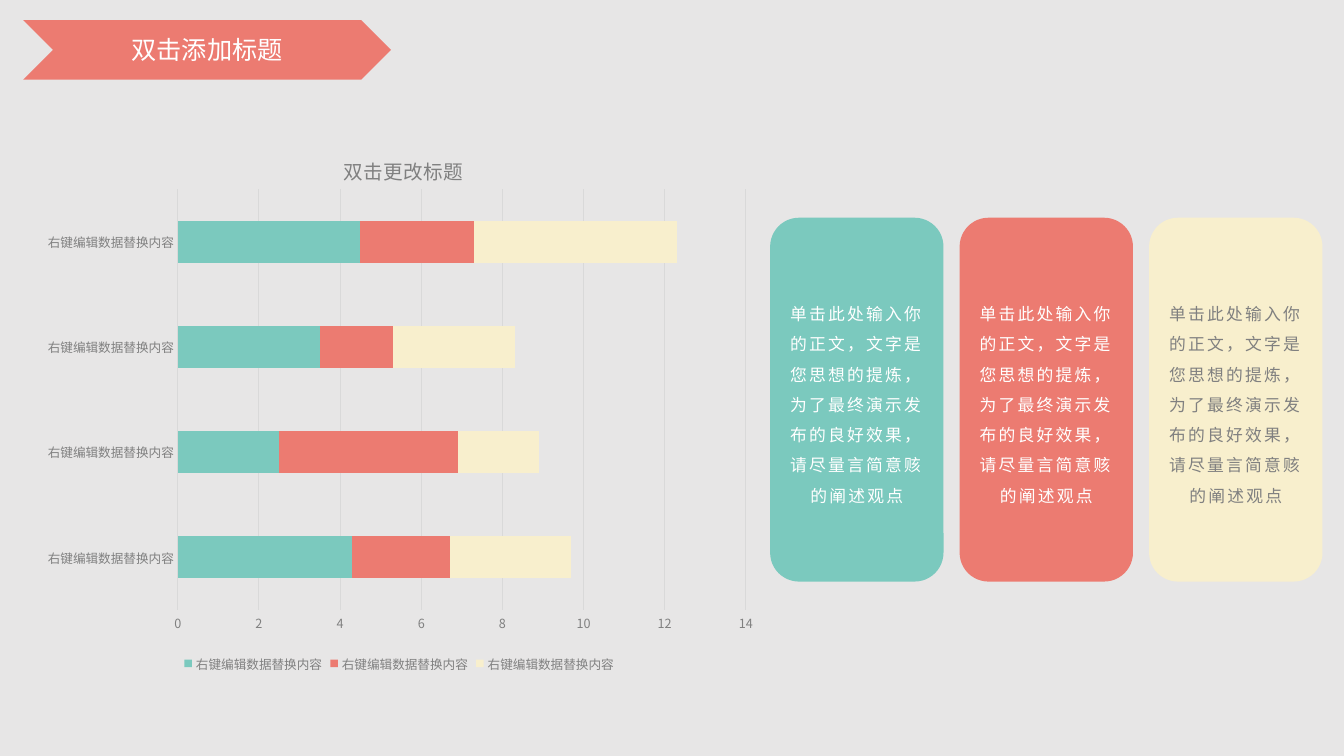
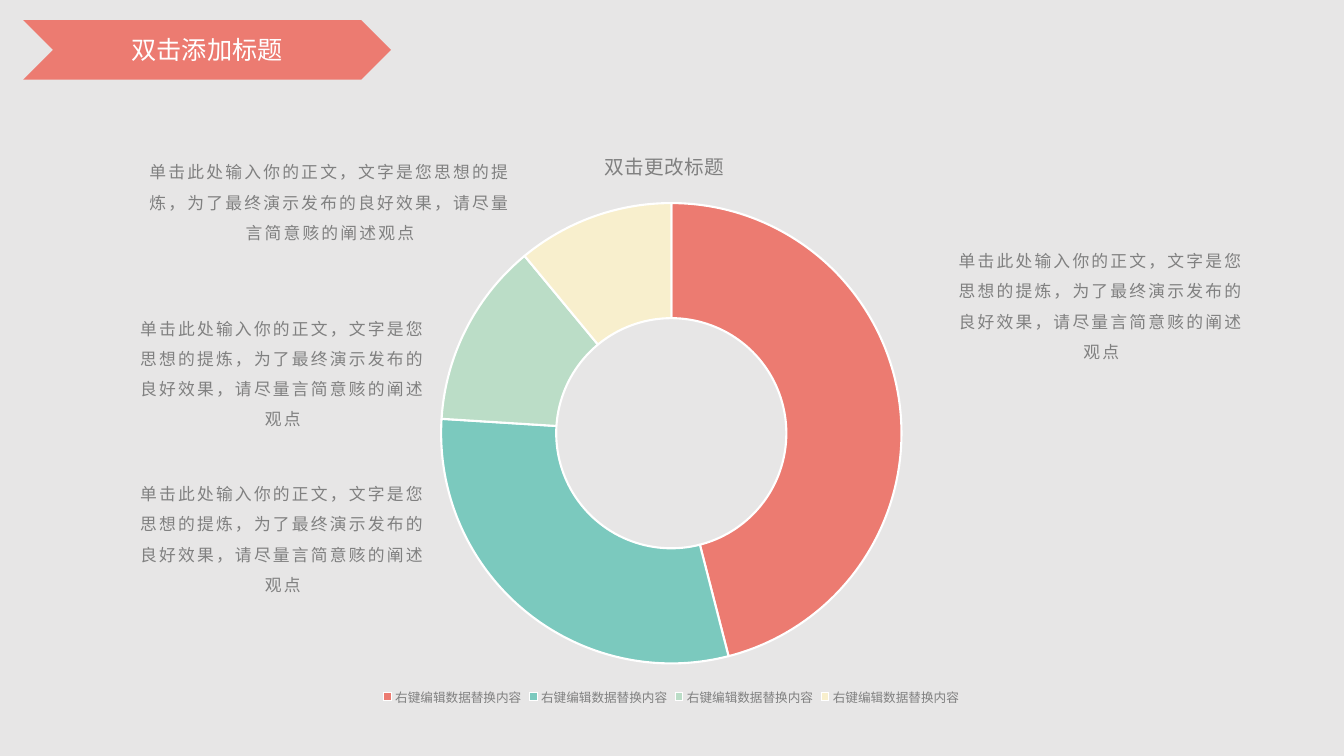
"""Build two slides with a chevron title band, charts and explanatory texts."""
from dataclasses import dataclass

from lxml import etree
from pptx import Presentation
from pptx.chart.chart import Chart
from pptx.chart.data import CategoryChartData
from pptx.dml.color import RGBColor
from pptx.dml.fill import FillFormat
from pptx.enum.chart import XL_CHART_TYPE, XL_LEGEND_POSITION, XL_TICK_MARK
from pptx.enum.shapes import MSO_SHAPE
from pptx.enum.text import MSO_ANCHOR, MSO_AUTO_SIZE, PP_ALIGN
from pptx.oxml.ns import qn
from pptx.slide import Slide
from pptx.text.text import Font, TextFrame
from pptx.util import Inches, Pt

CHEVRON, ROUNDED = MSO_SHAPE.CHEVRON, MSO_SHAPE.ROUNDED_RECTANGLE
CENTER, MIDDLE, TOP = PP_ALIGN.CENTER, MSO_ANCHOR.MIDDLE, MSO_ANCHOR.TOP
NO_FIT, GROW = MSO_AUTO_SIZE.NONE, MSO_AUTO_SIZE.SHAPE_TO_FIT_TEXT
STACKED, DOUGHNUT = XL_CHART_TYPE.BAR_STACKED, XL_CHART_TYPE.DOUGHNUT
BOTTOM, NO_TICK = XL_LEGEND_POSITION.BOTTOM, XL_TICK_MARK.NONE

COLUMNS, ROWS = 160, 90
CELL = Inches(1 / 12)
TYPEFACE = "Noto Sans CJK SC"
PAPER, WHITE, GRAY, RULE = "E7E6E6", "FFFFFF", "808080", "D9D9D9"
TEAL, CORAL, MINT, CREAM = "7BC9BE", "EC7B71", "BBDDC7", "F8EFCD"

SLIDE_TITLE = "双击添加标题"
CHART_TITLE = "双击更改标题"
LABEL = "右键编辑数据替换内容"
BODY = "单击此处输入你的正文，文字是您思想的提炼，为了最终演示发布的良好效果，请尽量言简意赅的阐述观点"


@dataclass(frozen=True)
class Area:
    """A rectangle in grid columns and rows."""

    column: float
    row: float
    columns: float
    rows: float

    def box(self) -> tuple[int, int, int, int]:
        """Return left, top, width and height in slide units."""
        return tuple(round(value * CELL) for value in
                     (self.column, self.row, self.columns, self.rows))


@dataclass(frozen=True)
class Card:
    """A rounded card with its fill and text colours."""

    fill: str
    ink: str


@dataclass(frozen=True)
class Series:
    """A named row of chart values."""

    name: str
    values: tuple[float, ...]


TITLE_BAND = Area(2.76, 2.4, 43.8, 7.08)
BAR_AREA = Area(3.6, 14.64, 87.84, 65.88)
RING_AREA = Area(38.28, 15.96, 83.28, 68.52)
FIRST_CARD = Area(91.68, 25.92, 20.64, 43.32)
CARD_PITCH = 22.56
CARDS = (Card(TEAL, WHITE), Card(CORAL, WHITE), Card(CREAM, GRAY))
NOTES = (
    Area(14.76, 55.8, 37.8, 15.36),
    Area(14.76, 36.12, 37.8, 15.36),
    Area(15.72, 17.52, 47.16, 11.76),
    Area(112.2, 28.08, 37.8, 15.36),
)
BAR_SERIES = (
    Series(LABEL, (4.3, 2.5, 3.5, 4.5)),
    Series(LABEL, (2.4, 4.4, 1.8, 2.8)),
    Series(LABEL, (3, 2, 3, 5)),
)
RING_SERIES = (Series("Series 1", (46, 30, 13, 11)),)
BAR_COLORS = (TEAL, CORAL, CREAM)
RING_COLORS = (CORAL, TEAL, MINT, CREAM)


def color(code: str) -> RGBColor:
    """Turn a hex string into a colour."""
    return RGBColor.from_string(code)


def paint(fill: FillFormat, code: str) -> None:
    """Apply a solid fill."""
    fill.solid()
    fill.fore_color.rgb = color(code)


def style_font(font: Font, size: float, code: str) -> None:
    """Set size, colour and both Latin and East Asian typefaces."""
    font.size, font.bold = Pt(size), False
    font.color.rgb = color(code)
    font.name = TYPEFACE
    etree.SubElement(font._element, qn("a:ea")).set("typeface", TYPEFACE)


def write(frame: TextFrame, text: str, size: float, code: str,
          spacing: float | None = None, tracking: int = 0) -> None:
    """Write one centred paragraph."""
    frame.word_wrap = True
    paragraph = frame.paragraphs[0]
    paragraph.alignment = CENTER
    paragraph.line_spacing = spacing
    run = paragraph.add_run()
    run.text = text
    style_font(run.font, size, code)
    if tracking:
        run.font._element.set("spc", str(tracking))


def write_body(frame: TextFrame, code: str) -> None:
    """Write the shared explanatory text."""
    write(frame, BODY, 12, code, 1.5, 160)


def add_filled_shape(slide: Slide, kind: MSO_SHAPE, area: Area, code: str):
    """Add a flat preset shape without outline."""
    shape = slide.shapes.add_shape(kind, *area.box())
    shape.shadow.inherit = False
    paint(shape.fill, code)
    shape.line.fill.background()
    return shape


def add_titled_slide(presentation: Presentation) -> Slide:
    """Add a slide whose title sits on the chevron band."""
    slide = presentation.slides.add_slide(presentation.slide_layouts[5])
    band = add_filled_shape(slide, CHEVRON, TITLE_BAND, CORAL)
    title = slide.shapes.title
    title._element.addprevious(band._element)
    title.left, title.top, title.width, title.height = TITLE_BAND.box()
    frame = title.text_frame
    frame.auto_size, frame.vertical_anchor = NO_FIT, MIDDLE
    write(frame, SLIDE_TITLE, 18, WHITE)
    return slide


def make_layout(**shares: float) -> etree._Element:
    """Make a manual chart layout from shares of the chart's size."""
    layout = etree.Element(qn("c:layout"))
    manual = etree.SubElement(layout, qn("c:manualLayout"))
    settings = {"xMode": "edge", "yMode": "edge"} | shares
    if "w" in shares:
        settings = {"layoutTarget": "inner"} | settings
    for name, value in settings.items():
        etree.SubElement(manual, qn(f"c:{name}")).set("val", str(value))
    return layout


def clear_layout(parent: etree._Element) -> None:
    """Remove an automatic layout element."""
    for layout in parent.findall(qn("c:layout")):
        parent.remove(layout)


def add_titled_chart(slide: Slide, kind: XL_CHART_TYPE, area: Area,
                     rows: tuple[Series, ...], title_at: dict[str, float],
                     plot_at: dict[str, float]) -> Chart:
    """Add a chart with the shared title, legend and fonts."""
    data = CategoryChartData(number_format="General")
    data.categories = [LABEL] * len(rows[0].values)
    for row in rows:
        data.add_series(row.name, row.values)
    chart = slide.shapes.add_chart(kind, *area.box(), data).chart
    style_font(chart.font, 10, GRAY)
    chart.has_title = True
    write(chart.chart_title.text_frame, CHART_TITLE, 14, GRAY)
    title = chart.chart_title._element
    clear_layout(title)
    title.find(qn("c:tx")).addnext(make_layout(**title_at))
    plot_area = chart._chartSpace.chart.plotArea
    clear_layout(plot_area)
    plot_area.insert(0, make_layout(**plot_at))
    chart.has_legend = True
    chart.legend.position = BOTTOM
    chart.legend.include_in_layout = False
    style_font(chart.legend.font, 9, GRAY)
    return chart


def add_bar_chart(slide: Slide) -> None:
    """Add the stacked bar chart."""
    chart = add_titled_chart(slide, STACKED, BAR_AREA, BAR_SERIES,
                             {"x": 0.42, "y": 0.05},
                             {"x": 0.2, "y": 0.12, "w": 0.77, "h": 0.76})
    plot = chart.plots[0]
    plot.gap_width, plot.overlap = 150, 100
    plot.vary_by_categories = False
    for series, code in zip(plot.series, BAR_COLORS):
        paint(series.format.fill, code)
    for axis in (chart.category_axis, chart.value_axis):
        axis.major_tick_mark = axis.minor_tick_mark = NO_TICK
        style_font(axis.tick_labels.font, 9, GRAY)
    chart.value_axis.has_major_gridlines = True
    chart.value_axis.format.line.fill.background()
    for line in (chart.category_axis.format.line,
                 chart.value_axis.major_gridlines.format.line):
        line.color.rgb = color(RULE)
        line.width = Pt(0.75)


def add_ring_chart(slide: Slide) -> None:
    """Add the doughnut chart."""
    chart = add_titled_chart(slide, DOUGHNUT, RING_AREA, RING_SERIES,
                             {"x": 0.4, "y": 0.02},
                             {"x": 0.17, "y": 0.12, "w": 0.66, "h": 0.8})
    plot = chart.plots[0]
    plot.vary_by_categories = True
    plot._element.find(qn("c:holeSize")).set("val", "75")
    for index, code in enumerate(RING_COLORS):
        point = plot.series[0].points[index]
        paint(point.format.fill, code)
        point.format.line.color.rgb = color(WHITE)
        point.format.line.width = Pt(1.5)


def add_cards(slide: Slide) -> None:
    """Add the row of equally spaced cards."""
    for index, card in enumerate(CARDS):
        area = Area(FIRST_CARD.column + index * CARD_PITCH, FIRST_CARD.row,
                    FIRST_CARD.columns, FIRST_CARD.rows)
        shape = add_filled_shape(slide, ROUNDED, area, card.fill)
        shape.text_frame.vertical_anchor = MIDDLE
        write_body(shape.text_frame, card.ink)


def add_notes_around_ring(slide: Slide) -> None:
    """Add the texts beside the doughnut."""
    for area in NOTES:
        frame = slide.shapes.add_textbox(*area.box()).text_frame
        frame.auto_size, frame.vertical_anchor = GROW, TOP
        write_body(frame, GRAY)


def main() -> None:
    """Build and save the presentation."""
    presentation = Presentation()
    presentation.slide_width = COLUMNS * CELL
    presentation.slide_height = ROWS * CELL
    paint(presentation.slide_master.background.fill, PAPER)
    bar_slide = add_titled_slide(presentation)
    add_bar_chart(bar_slide)
    add_cards(bar_slide)
    ring_slide = add_titled_slide(presentation)
    add_ring_chart(ring_slide)
    add_notes_around_ring(ring_slide)
    presentation.save("out.pptx")


if __name__ == "__main__":
    main()
